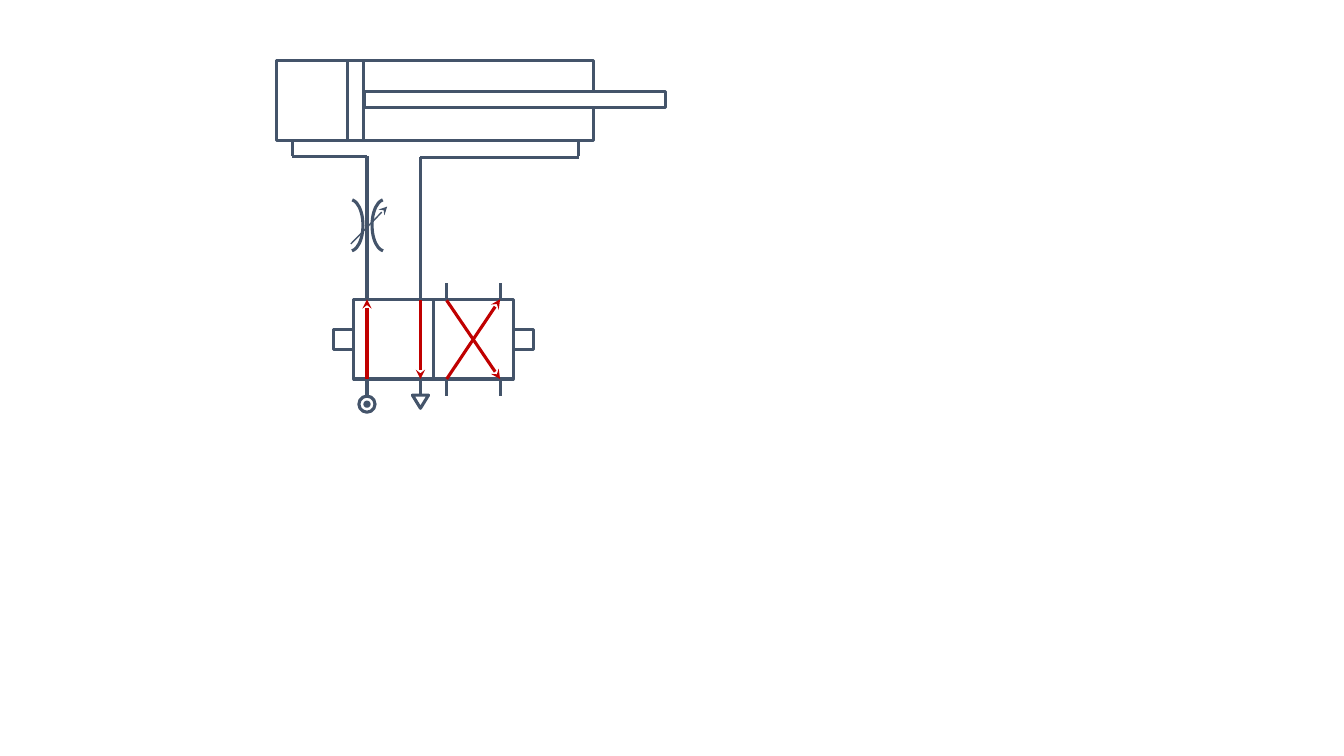
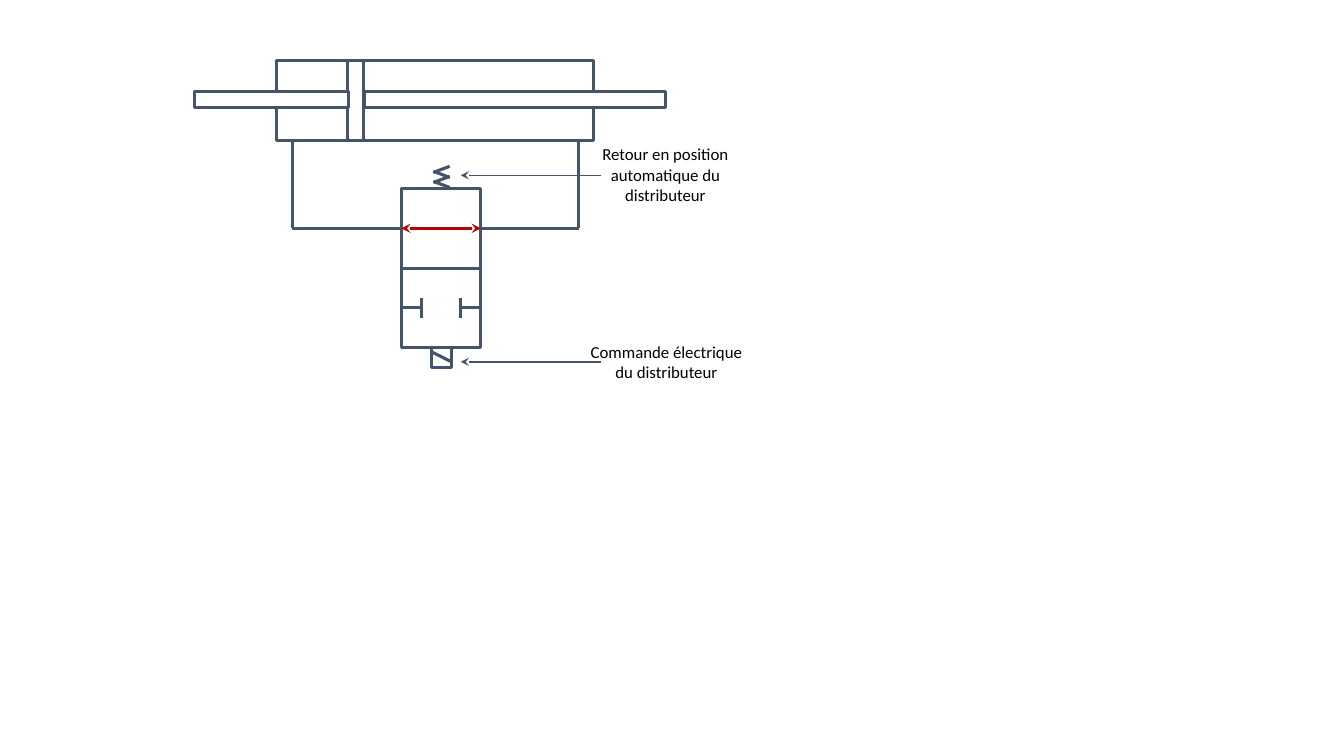
import dataclasses

import lxml.etree
import pptx
import pptx.dml.color
import pptx.enum.shapes
import pptx.enum.text
import pptx.oxml.ns
import pptx.util

Inches = pptx.util.Inches
Pt = pptx.util.Pt
qn = pptx.oxml.ns.qn
Shape = pptx.enum.shapes.MSO_SHAPE
STRAIGHT = pptx.enum.shapes.MSO_CONNECTOR.STRAIGHT
LEFT_SIDE, RIGHT_SIDE = 1, 3


@dataclasses.dataclass(frozen=True)
class Theme:
    outline: str = "44546A"
    flow: str = "C00000"
    paper: str = "FFFFFF"
    ink: str = "000000"
    font: str = "Calibri"
    label_size: float = 12
    heavy: float = 2.25
    thin: float = 1


def rgb(code):
    return pptx.dml.color.RGBColor.from_string(code)


class Schematic:
    """Draws fluid-power symbols on the current slide."""

    BOX = 0.79  # side of one valve position
    BUTTON = 0.2  # side of a valve actuator
    BORE_LEFT, BORE_TOP, BORE_WIDTH = 2.74, 0.6, 3.15
    PORT_TOP = 1.38
    LEFT_PORT, RIGHT_PORT = 2.9, 5.74

    def __init__(self, theme):
        self.theme = theme
        self.deck = pptx.Presentation()
        self.deck.slide_width = Inches(13.33)
        self.deck.slide_height = Inches(7.5)
        self.page = None

    def new_page(self):
        blank = self.deck.slide_layouts[6]
        self.page = self.deck.slides.add_slide(blank)

    def group(self):
        return self.page.shapes.add_group_shape().shapes

    def shape(self, kind, left, top, width, height, fill=None, parent=None):
        parent = parent or self.page.shapes
        box = parent.add_shape(
            kind, Inches(left), Inches(top), Inches(width), Inches(height))
        box.shadow.inherit = False
        box.line.color.rgb = rgb(self.theme.outline)
        box.line.width = Pt(self.theme.heavy)
        if fill:
            box.fill.solid()
            box.fill.fore_color.rgb = rgb(fill)
        else:
            box.fill.background()
        return box

    def line(self, start, end, color=None, weight=None, heads=(), parent=None,
             begin=None, finish=None):
        """heads holds "headEnd" and/or "tailEnd"; begin and finish are (shape, side)."""
        parent = parent or self.page.shapes
        connector = parent.add_connector(
            STRAIGHT, *(Inches(value) for value in (*start, *end)))
        connector.line.color.rgb = rgb(color or self.theme.outline)
        connector.line.width = Pt(weight or self.theme.heavy)
        properties = connector._element.spPr
        for head in heads:
            lxml.etree.SubElement(
                properties.find(qn("a:ln")), qn(f"a:{head}"), type="stealth")
        lxml.etree.SubElement(properties, qn("a:effectLst"))
        if begin:
            connector.begin_connect(*begin)
        if finish:
            connector.end_connect(*finish)

    def flow(self, start, end, heads=("tailEnd",), **joints):
        self.line(start, end, self.theme.flow, heads=heads, **joints)

    def pointer(self, start, end):
        self.line(start, end, weight=self.theme.thin, heads=("tailEnd",))

    def label(self, left, top, height, text):
        box = self.page.shapes.add_textbox(
            Inches(left), Inches(top), Inches(1.74), Inches(height))
        frame = box.text_frame
        frame.word_wrap = True
        para = frame.paragraphs[0]
        para.text = text
        para.alignment = pptx.enum.text.PP_ALIGN.CENTER
        para.font.name = self.theme.font
        para.font.size = Pt(self.theme.label_size)
        para.font.color.rgb = rgb(self.theme.ink)

    def cylinder(self, rods):
        """Each rod is a (left, width) pair."""
        parts = self.group()
        for left, width in ((self.BORE_LEFT, self.BORE_WIDTH), (3.45, 0.16)):
            self.shape(Shape.RECTANGLE, left, self.BORE_TOP, width, self.BOX,
                       parent=parts)
        for left, width in rods:
            self.shape(Shape.RECTANGLE, left, 0.91, width, 0.16,
                       self.theme.paper, parts)

    def port_pipes(self, left_end, right_end):
        for x, end in ((self.LEFT_PORT, left_end), (self.RIGHT_PORT, right_end)):
            self.line((x, self.PORT_TOP), (x, end))

    def square(self, left, top, side, parent=None):
        return self.shape(Shape.RECTANGLE, left, top, side, side, parent=parent)

    def throttle(self):
        arcs = self.group()
        for left, mirrored in ((3.35, False), (3.69, True)):
            arc = self.shape(Shape.ARC, left, 1.98, 0.25, 0.51, parent=arcs)
            arc.adjustments[0] = 164.52
            arc.adjustments[1] = 51.88
            if mirrored:
                arc._element.spPr.find(qn("a:xfrm")).set("flipH", "1")
        self.pointer((3.48, 2.42), (3.84, 2.05))

    def spring(self, left, top):
        coils = self.group()
        right = left + 0.16
        for offset in (0.1, 0):
            y = top + offset
            self.line((right, y), (left, y + 0.06), parent=coils)
            self.line((left, y + 0.05), (right, y + 0.11), parent=coils)

    def blocked_port(self, valve, side, edge, stop, y):
        parts = self.group()
        self.line((edge, y), (stop, y), parent=parts, begin=(valve, side))
        self.line((stop, y - 0.1), (stop, y + 0.1), parent=parts)


def draw_throttled_circuit(drawing):
    drawing.new_page()
    left, top, box = 3.51, 2.97, drawing.BOX
    bottom = top + box
    pressure, tank, cross_left, cross_right = ports = [
        left + position * box + inset
        for position in (0, 1) for inset in (0.13, 0.66)]
    pipe_y = 1.55

    valve = drawing.group()
    for x in (left, left + box):
        drawing.square(x, top, box, valve)
    for x in (left - drawing.BUTTON, left + 2 * box):
        drawing.square(x, top + 0.3, drawing.BUTTON, valve)
    for x in ports:
        drawing.line((x, bottom), (x, bottom + 0.17), parent=valve)
    for x, start in zip(ports, (pipe_y, pipe_y + 0.01, 2.81, 2.81)):
        drawing.line((x, start), (x, top), parent=valve)
    drawing.shape(Shape.OVAL, pressure - 0.08, 3.93, 0.16, 0.16, parent=valve)
    drawing.shape(Shape.OVAL, pressure - 0.02, 3.99, 0.04, 0.04,
                  drawing.theme.outline, valve)
    exhaust = drawing.shape(Shape.ISOSCELES_TRIANGLE, tank - 0.08, 3.92,
                            0.16, 0.13, parent=valve)
    exhaust.rotation = 180

    drawing.cylinder([(3.61, 2.99)])
    drawing.port_pipes(pipe_y, pipe_y)
    drawing.line((drawing.LEFT_PORT, pipe_y), (pressure, pipe_y))
    drawing.line((tank, pipe_y + 0.01), (drawing.RIGHT_PORT, pipe_y + 0.01))

    for start_x, end_x, upward in (
            (pressure, pressure, True), (cross_left, cross_right, True),
            (tank, tank, False), (cross_left, cross_right, False)):
        start_y, end_y = (bottom, top) if upward else (top + 0.01, bottom)
        drawing.flow((start_x, start_y), (end_x, end_y))
    drawing.throttle()


def draw_spring_return_circuit(drawing):
    drawing.new_page()
    left, top, box = 3.98, 1.87, drawing.BOX
    right = left + box
    open_y, closed_y = top + box / 2, top + 1.5 * box

    open_position = drawing.square(left, top, box)
    drawing.square(left + 0.3, top + 2 * box, drawing.BUTTON)
    closed_position = drawing.square(left, top + box, box)
    drawing.line((left, open_y), (drawing.LEFT_PORT, open_y),
                 begin=(open_position, LEFT_SIDE))
    drawing.line((drawing.RIGHT_PORT, open_y), (right, open_y),
                 finish=(open_position, RIGHT_SIDE))

    drawing.cylinder([(3.61, 2.99), (1.93, 1.53)])
    drawing.port_pipes(open_y, open_y)
    drawing.spring(4.3, 1.65)
    drawing.line((4.48, 3.59), (4.28, 3.49))
    drawing.flow((left, open_y), (right, open_y), ("headEnd", "tailEnd"),
                 begin=(open_position, LEFT_SIDE),
                 finish=(open_position, RIGHT_SIDE))
    for side, edge, stop in ((RIGHT_SIDE, right, right - 0.2),
                             (LEFT_SIDE, left, left + 0.2)):
        drawing.blocked_port(closed_position, side, edge, stop, closed_y)

    for y, label_left, label_top, height, text in (
            (1.74, 5.73, 1.38, 0.71,
             "Retour en position automatique du distributeur"),
            (3.59, 5.74, 3.34, 0.5, "Commande électrique du distributeur")):
        drawing.pointer((5.96, y), (4.57, y))
        drawing.label(label_left, label_top, height, text)


def main():
    drawing = Schematic(Theme())
    draw_throttled_circuit(drawing)
    draw_spring_return_circuit(drawing)
    drawing.deck.save("out.pptx")


if __name__ == "__main__":
    main()
